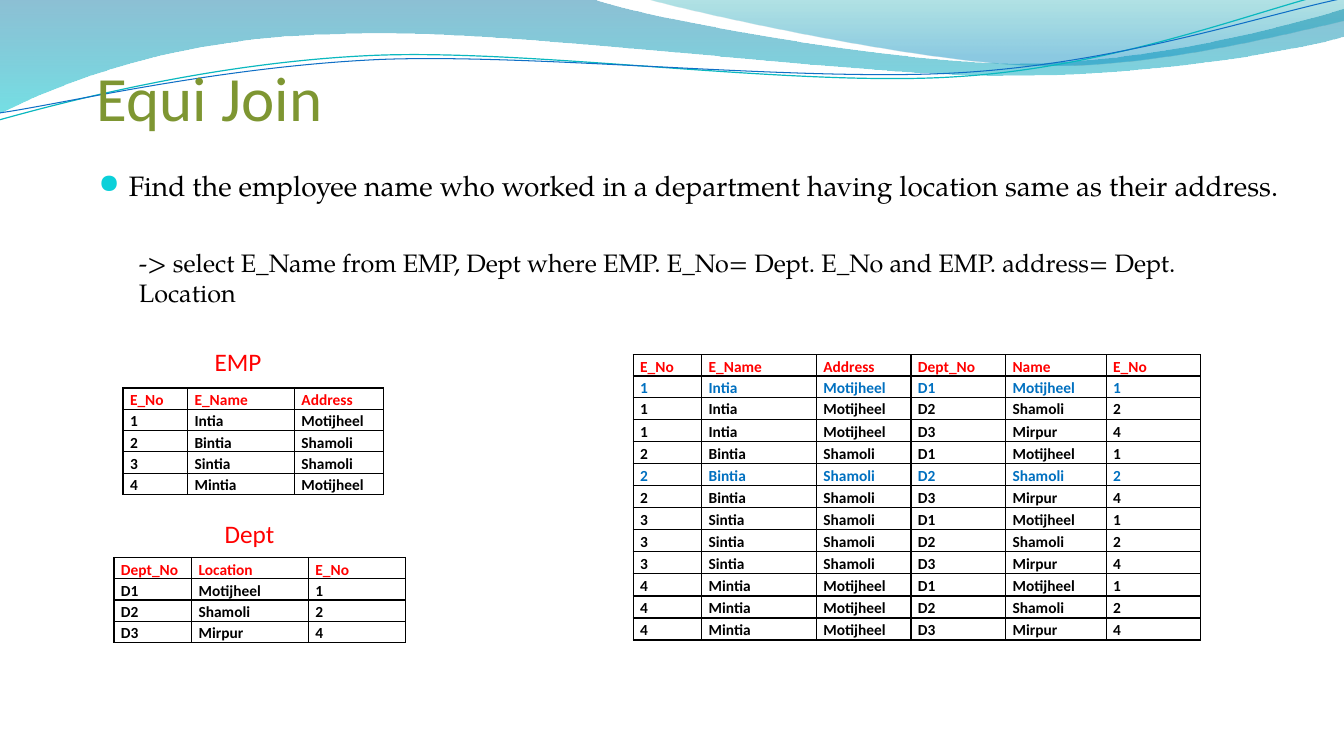
"""Build the Equi Join slide: wave banner, query text and three tables."""
from itertools import product

from lxml.etree import SubElement
from pptx import Presentation
from pptx.dml.color import RGBColor
from pptx.enum.text import MSO_ANCHOR
from pptx.oxml.ns import qn
from pptx.util import Inches, Pt

RED = RGBColor(0xFF, 0x00, 0x00)
BLUE = RGBColor(0x00, 0x70, 0xC0)
BLACK = RGBColor(0x00, 0x00, 0x00)
OLIVE = RGBColor(0x7E, 0x96, 0x32)
AQUA = RGBColor(0x0B, 0xD0, 0xD9)
DEEP_TEAL = RGBColor(0x00, 0x74, 0xA1)
CYAN = RGBColor(0x00, 0xC6, 0xCF)
TEAL = RGBColor(0x00, 0xA1, 0xA9)
SKY = RGBColor(0x00, 0x8B, 0xBF)
LINE_TEAL = RGBColor(0x0A, 0xB8, 0xBF)
LINE_BLUE = RGBColor(0x0F, 0x6F, 0xC6)
SANS, SERIF, SYMBOL = "Calibri", "TeX Gyre Pagella", "OpenSymbol"

EMP_HEAD = ("E_No", "E_Name", "Address")
EMP = [
    ("1", "Intia", "Motijheel"),
    ("2", "Bintia", "Shamoli"),
    ("3", "Sintia", "Shamoli"),
    ("4", "Mintia", "Motijheel"),
]
DEPT_HEAD = ("Dept_No", "Location", "E_No")
DEPT = [("D1", "Motijheel", "1"), ("D2", "Shamoli", "2"), ("D3", "Mirpur", "4")]
JOIN_HEAD = EMP_HEAD + ("Dept_No", "Name", "E_No")
JOIN = [emp + dept for emp, dept in product(EMP, DEPT)]

TABLES = [
    (EMP_HEAD, EMP, (1.22, 3.85, 2.58, 1.05), (0.64, 1.06, 0.88)),
    (DEPT_HEAD, DEPT, (1.13, 5.53, 2.89, 0.84), (0.77, 1.16, 0.96)),
    (JOIN_HEAD, JOIN, (6.28, 3.52, 5.63, 2.83), (0.68, 1.14, 0.94, 0.94, 1, 0.94)),
]
TOP_ROW_HEIGHT = 0.21

HEADINGS = {
    "title": ("Equi Join", (0.96, 0.72, 10.72, 0.61), SANS, 45, OLIVE,
              {"vertical_anchor": MSO_ANCHOR.BOTTOM, "margin_left": 0,
               "margin_right": 0, "margin_bottom": 0}),
    "task": ("Find the employee name who worked in a department having location "
             "same as their address.", (0.88, 1.62, 12.1, 1.26), SERIF, 20, BLACK, {}),
}
CAPTIONS = [
    ("-> select E_Name from EMP, Dept where EMP. E_No= Dept. E_No and "
     "EMP. address= Dept. Location", (1.28, 2.4, 11.23, 0.71), SERIF, 18, BLACK, {}),
    ("EMP", (2.03, 3.39, 0.89, 0.4), SANS, 18, RED,
     {"vertical_anchor": MSO_ANCHOR.MIDDLE}),
    ("Dept", (2.13, 5.09, 0.89, 0.4), SANS, 18, RED,
     {"vertical_anchor": MSO_ANCHOR.MIDDLE}),
]

BANDS = [
    ([(0, 0), (5.87, -0.01), (6.34, 0.17, 8.85, 0.63, 10.11, 0.63),
      (11.38, 0.63, 12.78, 0.26, 13.33, 0.09), (13.35, 0.36),
      (13.11, 0.44, 11.6, 0.76, 9.94, 0.75), (8.29, 0.75, 5.09, 0.28, 3.43, 0.34),
      (1.72, 0.36, 0.61, 0.83, -0.01, 1.13)],
     ((0, DEEP_TEAL, 45), (1, CYAN, 55))),
    ([(6.39, -0.01), (6.79, 0.11, 9.09, 0.62, 10.25, 0.65),
      (11.41, 0.69, 12.82, 0.32, 13.33, 0.21), (13.33, 0)],
     ((0, TEAL, 30), (0.8, SKY, 45))),
]
STRANDS = [
    ([(-0.01, 1.19), (0.64, 1.01, 2.11, 0.62, 3.69, 0.55),
      (5.27, 0.48, 7.9, 0.87, 9.5, 0.76), (11.1, 0.66, 12.52, 0.08, 13.31, -0.1)],
     LINE_TEAL, 0.85),
    ([(0, 1.12), (0.63, 1.03, 2.18, 0.66, 3.78, 0.59),
      (5.37, 0.53, 7.96, 0.82, 9.55, 0.72), (11.15, 0.62, 12.55, 0.14, 13.34, -0.02)],
     LINE_BLUE, 0.75),
]


def add_wave(slide, outline, close):
    points = [(Inches(x), Inches(y))
              for step in outline for x, y in zip(step[::2], step[1::2])]
    builder = slide.shapes.build_freeform(*points[0], scale=1.0)
    builder.add_line_segments(points[1:], close=False)
    wave = builder.convert_to_shape()
    wave.shadow.inherit = False
    route = next(wave._element.iter(qn("a:path")))
    segments = iter(route.findall(qn("a:lnTo")))
    for step in outline[1:]:
        first = next(segments)
        if len(step) == 6:
            curve = SubElement(route, qn("a:cubicBezTo"))
            first.addprevious(curve)
            for segment in (first, next(segments), next(segments)):
                curve.append(segment[0])
                route.remove(segment)
    if close:
        SubElement(route, qn("a:close"))
    return wave


def add_band(slide, outline, stops):
    band = add_wave(slide, outline, True)
    band.line.fill.background()
    band.fill.gradient()
    band.fill.gradient_angle = 270
    for stop, (position, color, _) in zip(band.fill.gradient_stops, stops):
        stop.position = position
        stop.color.rgb = color
    for tint, (_, _, opacity) in zip(band._element.iter(qn("a:srgbClr")), stops):
        SubElement(tint, qn("a:alpha"), val=str(opacity * 1000))


def add_strand(slide, outline, color, width):
    strand = add_wave(slide, outline, False)
    strand.fill.background()
    strand.line.color.rgb = color
    strand.line.width = Pt(width)


def write(paragraph, words, font, size, color, bold=False):
    run = paragraph.add_run()
    run.text = words
    run.font.color.rgb = color
    for key, value in {"name": font, "size": Pt(size), "bold": bold}.items():
        setattr(run.font, key, value)


def add_words(slide, words, place, font, size, color, layout):
    frame = slide.shapes.add_textbox(*map(Inches, place)).text_frame
    for key, value in {"word_wrap": True, **layout}.items():
        setattr(frame, key, value)
    write(frame.paragraphs[0], words, font, size, color)
    return frame.paragraphs[0]


def add_bullet(paragraph):
    paragraph.space_before = Pt(4)
    props = paragraph._p.get_or_add_pPr()
    props.set("marL", str(Inches(0.3)))
    props.set("indent", str(-Inches(0.3)))
    SubElement(SubElement(props, qn("a:buClr")), qn("a:srgbClr"), val=str(AQUA))
    SubElement(props, qn("a:buSzPct"), val="95000")
    SubElement(props, qn("a:buFont"), typeface=SYMBOL)
    SubElement(props, qn("a:buChar"), char="●")


def add_borders(cell):
    props = cell._tc.get_or_add_tcPr()
    for side in ("a:lnL", "a:lnR", "a:lnT", "a:lnB"):
        edge = SubElement(props, qn(side), w=str(Pt(1)))
        SubElement(SubElement(edge, qn("a:solidFill")), qn("a:srgbClr"), val=str(BLACK))


def row_color(row, is_head):
    if is_head:
        return RED
    matches = len(row) == len(JOIN_HEAD) and row[0] == row[5] and row[2] == row[4]
    return BLUE if matches else BLACK


def add_grid(slide, head, records, place, widths):
    rows = [head, *records]
    total_width, total_height = place[2:]
    lower_height = (total_height - 2 * TOP_ROW_HEIGHT) / (len(rows) - 2)
    grid = slide.shapes.add_table(len(rows), len(head), *map(Inches, place)).table
    grid.first_row = grid.horz_banding = False
    for column, width in zip(grid.columns, widths):
        column.width = Inches(width * total_width / sum(widths))
    for r, row in enumerate(rows):
        grid.rows[r].height = Inches(TOP_ROW_HEIGHT if r < 2 else lower_height)
        for c, value in enumerate(row):
            cell = grid.cell(r, c)
            for key, margin in {"left": 0.07, "top": 0, "right": 0.07, "bottom": 0}.items():
                setattr(cell, f"margin_{key}", Inches(margin))
            paragraph = cell.text_frame.paragraphs[0]
            paragraph.line_spacing = 1.15
            write(paragraph, value, SANS, 11, row_color(row, r == 0), True)
            add_borders(cell)
            cell.fill.background()


def main():
    deck = Presentation()
    deck.slide_width, deck.slide_height = Inches(13.33), Inches(7.5)
    slide = deck.slides.add_slide(deck.slide_layouts[6])
    for band in BANDS:
        add_band(slide, *band)
    for strand in STRANDS:
        add_strand(slide, *strand)
    headings = {part: add_words(slide, *text) for part, text in HEADINGS.items()}
    add_bullet(headings["task"])
    for table in TABLES:
        add_grid(slide, *table)
    for caption in CAPTIONS:
        add_words(slide, *caption)
    deck.save("out.pptx")


if __name__ == "__main__":
    main()
